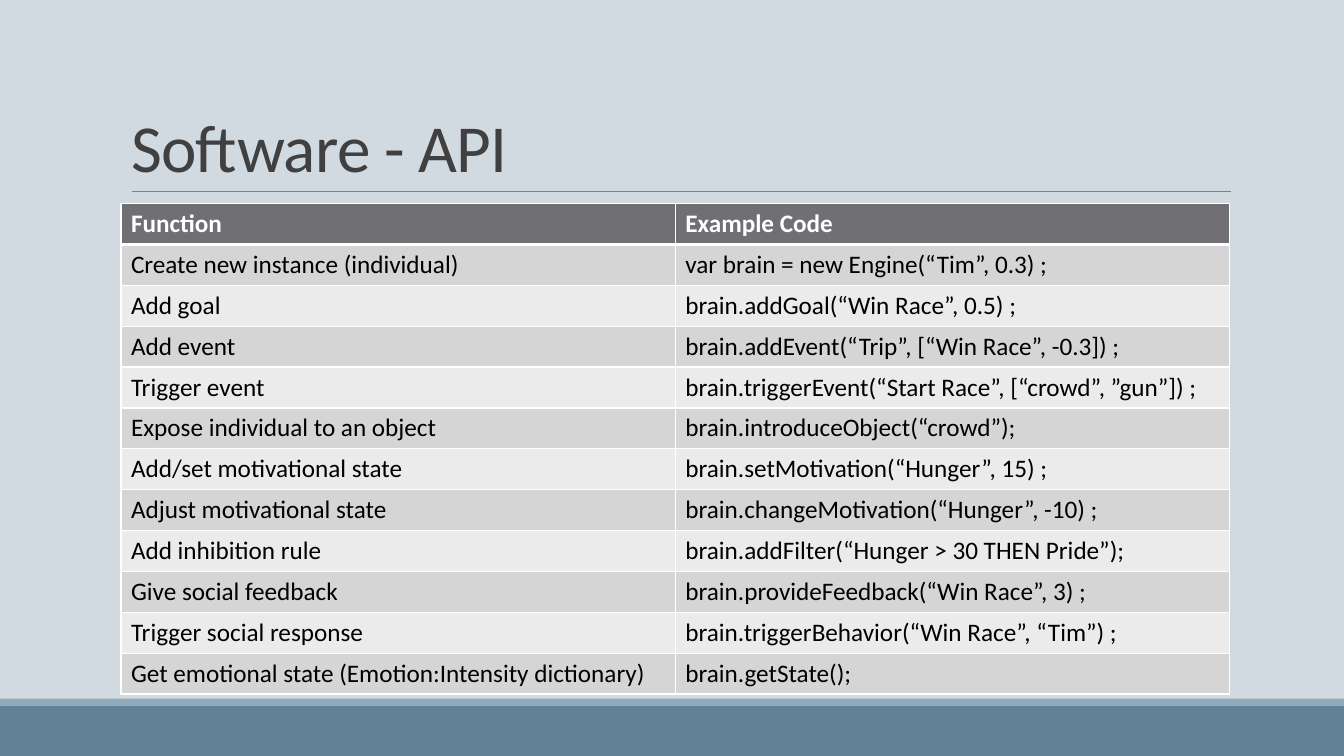
"""Build the Software - API slide with its table of functions and example code."""
from lxml.etree import SubElement
from pptx import Presentation
from pptx.dml.color import RGBColor
from pptx.enum.shapes import MSO_CONNECTOR, MSO_SHAPE
from pptx.enum.text import MSO_ANCHOR, MSO_AUTO_SIZE, PP_ALIGN
from pptx.oxml.ns import qn
from pptx.util import Pt


def color(hex_string):
    return RGBColor.from_string(hex_string)


def write_text(frame, text, size, hex_color, bold=False, spacing=0, line_spacing=1.0):
    paragraph = frame.paragraphs[0]
    paragraph.alignment = PP_ALIGN.LEFT
    paragraph.line_spacing = line_spacing
    run = paragraph.add_run()
    run.text = text
    run.font.name = "Calibri"
    run.font.size = Pt(size)
    run.font.bold = bold
    run.font.color.rgb = color(hex_color)
    if spacing:
        run.font._element.set("spc", str(int(spacing * 100)))


API_ROWS = [
    ("Function", "Example Code"),
    ("Create new instance (individual)", "var brain = new Engine(“Tim”, 0.3) ;"),
    ("Add goal", "brain.addGoal(“Win Race”, 0.5) ;"),
    ("Add event", "brain.addEvent(“Trip”, [“Win Race”, -0.3]) ;"),
    ("Trigger event", "brain.triggerEvent(“Start Race”, [“crowd”, ”gun”]) ;"),
    ("Expose individual to an object", "brain.introduceObject(“crowd”);"),
    ("Add/set motivational state", "brain.setMotivation(“Hunger”, 15) ;"),
    ("Adjust motivational state", "brain.changeMotivation(“Hunger”, -10) ;"),
    ("Add inhibition rule", "brain.addFilter(“Hunger > 30 THEN Pride”);"),
    ("Give social feedback", "brain.provideFeedback(“Win Race”, 3) ;"),
    ("Trigger social response", "brain.triggerBehavior(“Win Race”, “Tim”) ;"),
    ("Get emotional state (Emotion:Intensity dictionary)", "brain.getState();"),
]
ROW_HEIGHT = 29.2
COLUMN_WIDTH = 396

presentation = Presentation()
presentation.slide_width = Pt(960)
presentation.slide_height = Pt(540)
slide = presentation.slides.add_slide(presentation.slide_layouts[5])
slide.background.fill.solid()
slide.background.fill.fore_color.rgb = color("D1D9E1")

for top, height, band_color in [(504, 36, "618197"), (499, 5, "92A9B9")]:
    band = slide.shapes.add_shape(MSO_SHAPE.RECTANGLE, 0, Pt(top), Pt(960), Pt(height))
    band.shadow.inherit = False
    band.fill.solid()
    band.fill.fore_color.rgb = color(band_color)
    band.line.fill.background()

title_rule = slide.shapes.add_connector(
    MSO_CONNECTOR.STRAIGHT, Pt(94.3), Pt(136.8), Pt(879), Pt(136.8))
title_rule.line.color.rgb = color("808080")
title_rule.line.width = Pt(0.5)
SubElement(title_rule._element.spPr, qn("a:effectLst"))

title = slide.shapes.title
title.left, title.top, title.width, title.height = Pt(86.4), Pt(22.5), Pt(792), Pt(114.3)
title.text_frame.word_wrap = True
title.text_frame.auto_size = MSO_AUTO_SIZE.NONE
title.text_frame.vertical_anchor = MSO_ANCHOR.BOTTOM
write_text(title.text_frame, "Software - API", size=48, hex_color="404040",
           spacing=-0.5, line_spacing=0.85)

table = slide.shapes.add_table(
    len(API_ROWS), 2, Pt(86.4), Pt(145.4),
    Pt(2 * COLUMN_WIDTH), Pt(len(API_ROWS) * ROW_HEIGHT)).table
for column in table.columns:
    column.width = Pt(COLUMN_WIDTH)

for row_index, row_texts in enumerate(API_ROWS):
    table.rows[row_index].height = Pt(ROW_HEIGHT)
    is_header = row_index == 0
    row_fill = "6F6F74" if is_header else ("EBEBEB", "D5D5D6")[row_index % 2]
    border_widths = {"a:lnL": 1, "a:lnR": 1,
                     "a:lnT": 3 if row_index == 1 else 1,
                     "a:lnB": 3 if is_header else 1}
    for column_index, text in enumerate(row_texts):
        cell = table.cell(row_index, column_index)
        properties = cell._tc.get_or_add_tcPr()
        for side, width in border_widths.items():
            border = SubElement(properties, qn(side), w=str(Pt(width)))
            border_fill = SubElement(border, qn("a:solidFill"))
            SubElement(border_fill, qn("a:srgbClr"), val="FFFFFF")
        cell.fill.solid()
        cell.fill.fore_color.rgb = color(row_fill)
        write_text(cell.text_frame, text, size=18, bold=is_header,
                   hex_color="FFFFFF" if is_header else "000000")

presentation.save("out.pptx")
